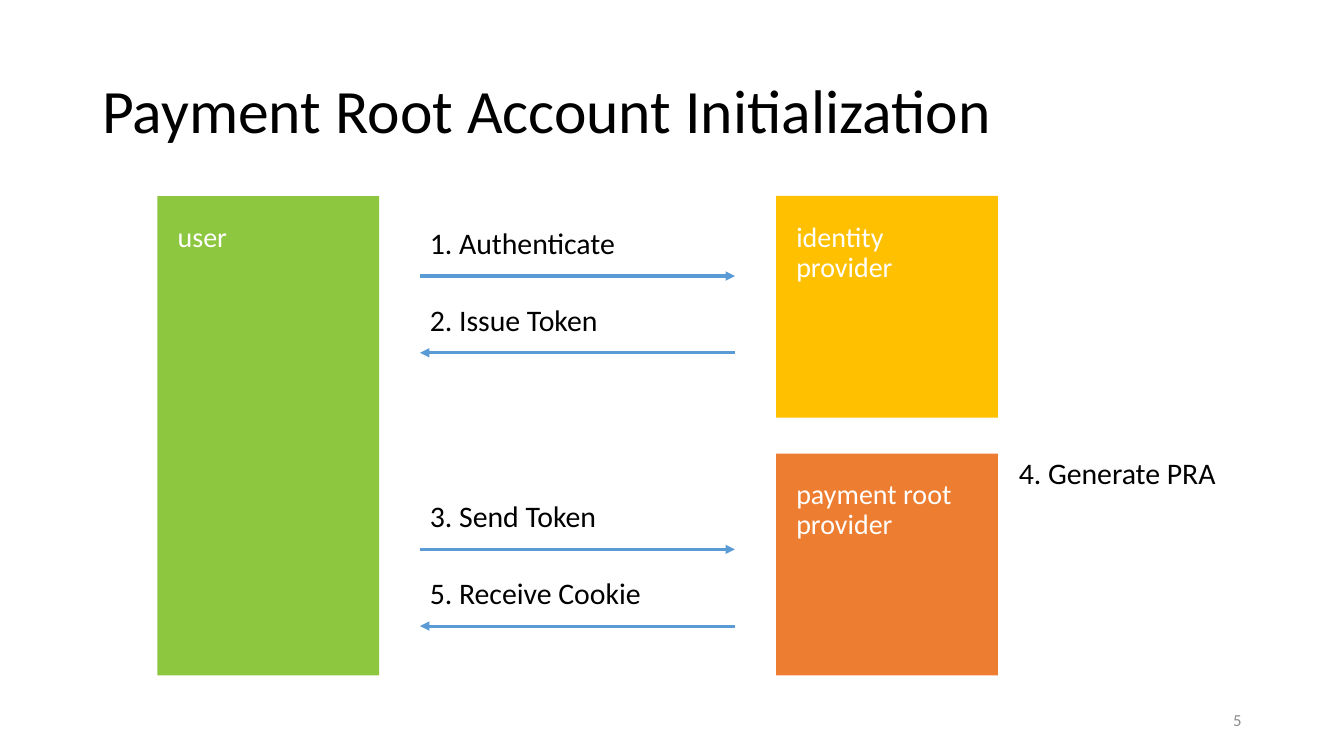
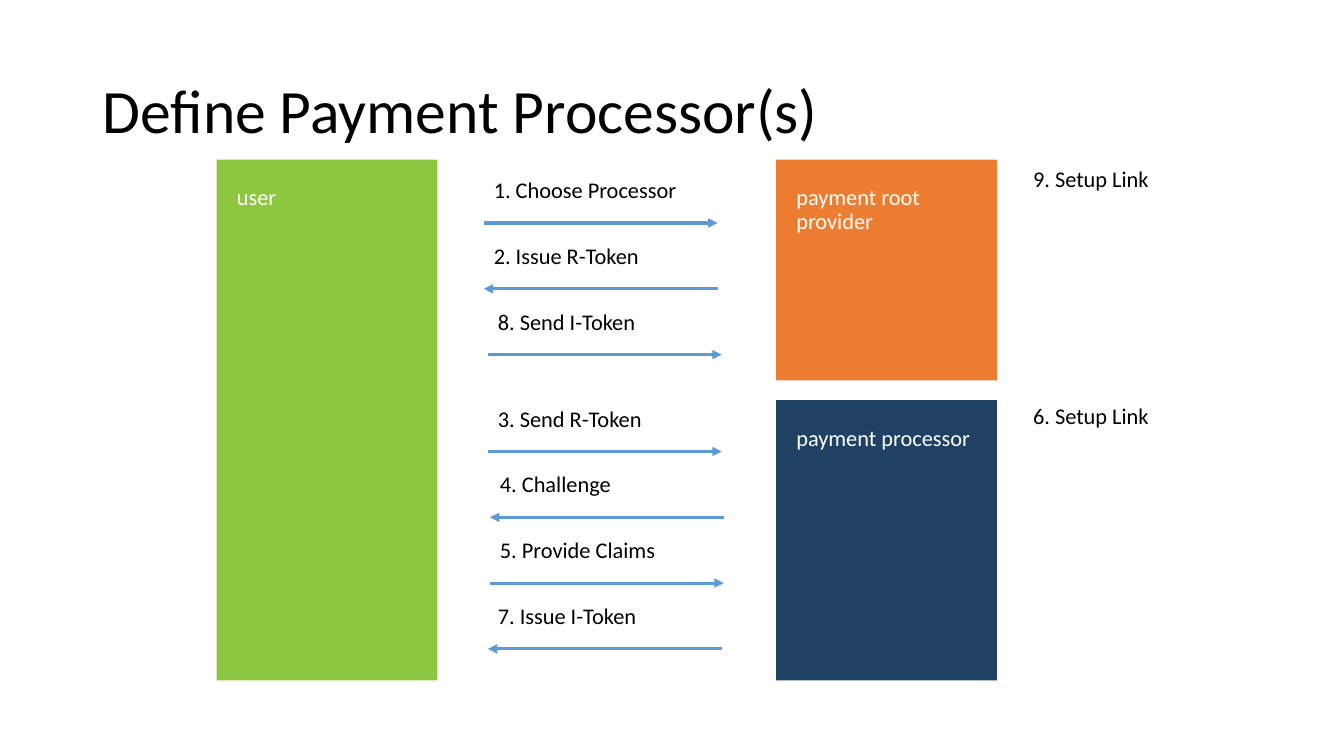
from pptx import Presentation
from pptx.dml.color import RGBColor
from pptx.enum.shapes import MSO_CONNECTOR, MSO_SHAPE
from pptx.enum.text import MSO_ANCHOR, PP_ALIGN
from pptx.oxml.ns import qn
from pptx.util import Pt
from lxml.etree import SubElement

FONT = "Calibri"
BLACK = "000000"
WHITE = "FFFFFF"
GREY = "8C8C8C"
USER_GREEN = "8DC63F"
IDENTITY_GOLD = "FFC000"
ROOT_ORANGE = "ED7D31"
PROCESSOR_NAVY = "1E4164"
ARROW_BLUE = "5B9BD5"
RIGHT, LEFT = True, False
PROVIDER_LEFT = 554.4


def rgb(hex_color):
    return RGBColor.from_string(hex_color)


def write(shape, text, size, color, anchor=MSO_ANCHOR.TOP, align=PP_ALIGN.LEFT):
    frame = shape.text_frame
    frame.text = text
    frame.word_wrap = True
    frame.vertical_anchor = anchor
    paragraph = frame.paragraphs[0]
    paragraph.alignment = align
    paragraph.line_spacing = 0.9
    font = paragraph.runs[0].font
    font.name = FONT
    font.size = Pt(size)
    font.color.rgb = rgb(color)


def add_titled_slide(prs, title):
    slide = prs.slides.add_slide(prs.slide_layouts[5])
    heading = slide.shapes.title
    heading.left, heading.top = Pt(66), Pt(28.8)
    heading.width, heading.height = Pt(828), Pt(104.4)
    write(heading, title, 44, BLACK, MSO_ANCHOR.MIDDLE)
    return slide


def add_page_number(slide, number):
    page = slide.shapes.add_textbox(Pt(678), Pt(500.5), Pt(216), Pt(28.8))
    write(page, number, 12, GREY, MSO_ANCHOR.MIDDLE, PP_ALIGN.RIGHT)


def add_party(slide, name, left, top, width, height, fill, size):
    party = slide.shapes.add_shape(
        MSO_SHAPE.RECTANGLE, Pt(left), Pt(top), Pt(width), Pt(height))
    party.shadow.inherit = False
    party.fill.solid()
    party.fill.fore_color.rgb = rgb(fill)
    party.line.fill.background()
    frame = party.text_frame
    frame.margin_left, frame.margin_top = Pt(14.4), Pt(19.2)
    frame.margin_right, frame.margin_bottom = Pt(9.6), Pt(4.8)
    write(party, name, size, WHITE)


def add_label(slide, text, left, top, width, size):
    label = slide.shapes.add_textbox(Pt(left), Pt(top), Pt(width), Pt(size * 1.42))
    write(label, text, size, BLACK)


def add_arrow(slide, start, end, y):
    arrow = slide.shapes.add_connector(
        MSO_CONNECTOR.STRAIGHT, Pt(start), Pt(y), Pt(end), Pt(y))
    arrow.line.color.rgb = rgb(ARROW_BLUE)
    arrow.line.width = Pt(2.25)
    SubElement(arrow.line._get_or_add_ln(), qn("a:tailEnd"), type="triangle")
    SubElement(arrow._element.spPr, qn("a:effectLst"))


def add_messages(slide, messages, top, step, length, rise, size):
    for row, (text, left, direction) in enumerate(messages):
        y = top + row * step
        start, end = left, left + length
        if direction == LEFT:
            start, end = end, start
        add_arrow(slide, start, end, y)
        add_label(slide, text, left, y - rise, length, size)


def build_initialization(prs):
    slide = add_titled_slide(prs, "Payment Root Account Initialization")
    side, top, root_top, size = 158.4, 140, 324, 21.3
    add_party(slide, "user", 112.5, top, side, root_top + side - top, USER_GREEN, 20)
    add_party(slide, "identity provider", PROVIDER_LEFT, top, side, side,
              IDENTITY_GOLD, 20)
    add_party(slide, "payment root provider", PROVIDER_LEFT, root_top, side, side,
              ROOT_ORANGE, 20)
    exchanges = [
        (197.2, [("1. Authenticate", 300, RIGHT), ("2. Issue Token", 300, LEFT)]),
        (392.4, [("3. Send Token", 300, RIGHT), ("5. Receive Cookie", 300, LEFT)]),
    ]
    for first_y, messages in exchanges:
        add_messages(slide, messages, first_y, 54.8, 225, 37.4, size)
    add_label(slide, "4. Generate PRA", 720.7, root_top, 180, size)
    add_page_number(slide, "5")


def build_processors(prs):
    slide = add_titled_slide(prs, "Define Payment Processor(s)")
    side, top, processor_top, bottom, size = 157.7, 114, 285.8, 486, 16
    add_party(slide, "user", 154.8, top, side, bottom - top, USER_GREEN, size)
    add_party(slide, "payment root provider", PROVIDER_LEFT, top, side, side,
              ROOT_ORANGE, size)
    add_party(slide, "payment processor", PROVIDER_LEFT, processor_top, side,
              bottom - processor_top, PROCESSOR_NAVY, size)
    exchanges = [
        (159.3, [("1. Choose Processor", 345.6, RIGHT),
                 ("2. Issue R-Token", 345.6, LEFT),
                 ("8. Send I-Token", 348.5, RIGHT)]),
        (322.5, [("3. Send R-Token", 348.5, RIGHT),
                 ("4. Challenge", 350, LEFT),
                 ("5. Provide Claims", 350, RIGHT),
                 ("7. Issue I-Token", 348.5, LEFT)]),
    ]
    for first_y, messages in exchanges:
        add_messages(slide, messages, first_y, 47, 167, 34.7, size)
    for text, label_top in [("9. Setup Link", 116.6), ("6. Setup Link", processor_top)]:
        add_label(slide, text, 730.8, label_top, 120, size)


def main():
    prs = Presentation()
    prs.slide_width, prs.slide_height = Pt(960), Pt(540)
    build_initialization(prs)
    build_processors(prs)
    prs.save("out.pptx")


if __name__ == "__main__":
    main()
